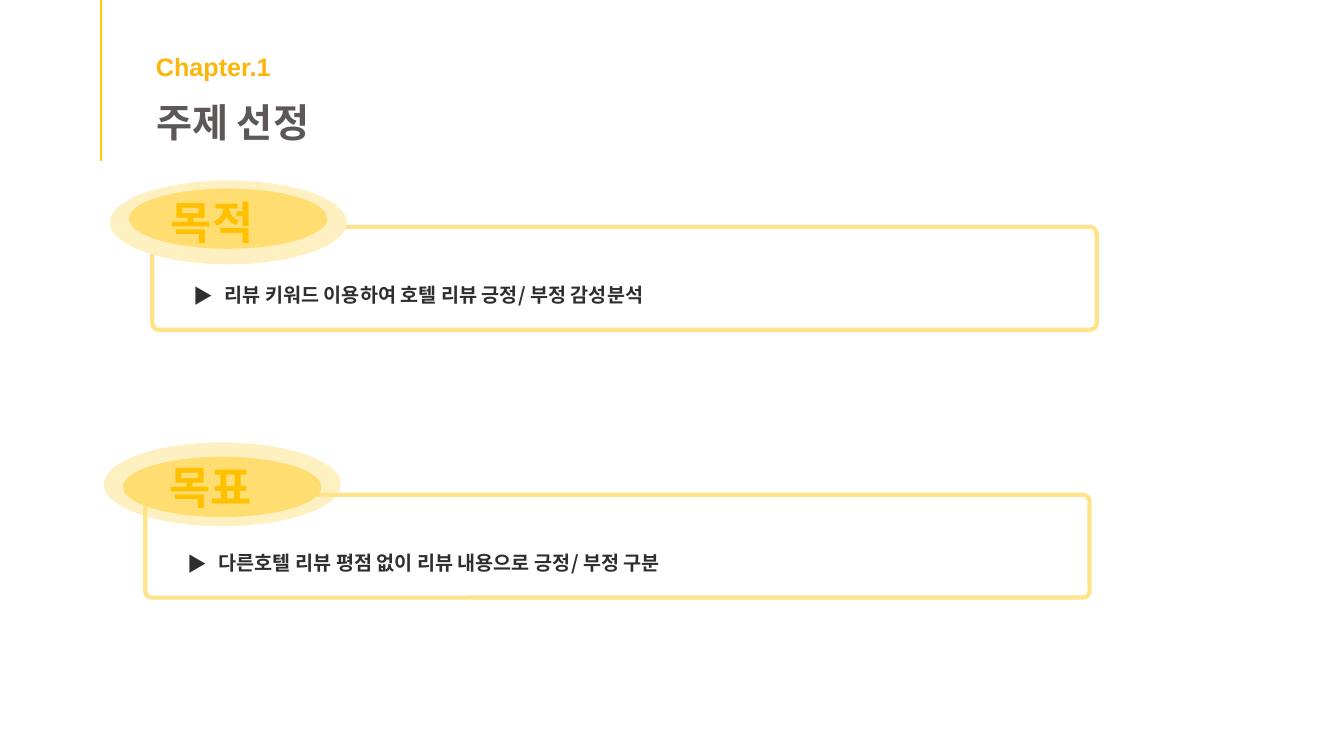
import pptx
import pptx.util
import pptx.dml.color
import pptx.enum.shapes
import pptx.enum.text
from lxml import etree

Cm = pptx.util.Cm
Pt = pptx.util.Pt
RGB = pptx.dml.color.RGBColor.from_string
KIND = pptx.enum.shapes.MSO_SHAPE
HUE = {
    "rule": "FFCF01", "head": "FBB609", "title": "5D5757", "frame": "FFE389",
    "outer": "FFF0C1", "inner": "FFDD71", "tag": "FFC000", "text": "2F2D2D",
}
SANS = "Noto Sans CJK KR"

deck = pptx.Presentation()
deck.slide_width = Cm(33.87)
deck.slide_height = Cm(19.05)
slide = deck.slides.add_slide(deck.slide_layouts[3])
shapes = slide.shapes


def write(box, area, text, size, hue, font=SANS):
    box.left, box.top, box.width, box.height = [Cm(n) for n in area]
    frame = box.text_frame
    frame.word_wrap = True
    frame.auto_size = pptx.enum.text.MSO_AUTO_SIZE.NONE
    frame.vertical_anchor = pptx.enum.text.MSO_ANCHOR.TOP
    para = frame.paragraphs[0]
    para.alignment = pptx.enum.text.PP_ALIGN.LEFT
    run = para.add_run()
    run.text = text
    run.font.name = font
    run.font.size = Pt(size)
    run.font.bold = True
    run.font.color.rgb = RGB(HUE[hue])
    east = etree.SubElement(run.font._element, pptx.oxml.ns.qn("a:ea"))
    east.set("typeface", SANS)
    return para


def draw(part, spot):
    kind, size = PARTS[part]
    shape = shapes.add_shape(kind, *[Cm(n) for n in spot + size])
    shape.shadow.inherit = False
    if part == "frame":
        shape.adjustments[0] = 0.063
        shape.fill.background()
        shape.line.color.rgb = RGB(HUE[part])
        shape.line.width = Pt(3)
    else:
        shape.fill.solid()
        shape.fill.fore_color.rgb = RGB(HUE[part])
        shape.line.fill.background()


PARTS = {
    "frame": (KIND.ROUNDED_RECTANGLE, (23.8, 2.59)),
    "outer": (KIND.OVAL, (5.97, 2.11)),
    "inner": (KIND.OVAL, (5, 1.52)),
}

rule = shapes.add_connector(
    pptx.enum.shapes.MSO_CONNECTOR.STRAIGHT, Cm(2.54), Cm(0), Cm(2.54), Cm(4.06))
rule.line.color.rgb = RGB(HUE["rule"])
rule.line.width = Pt(1.5)
etree.SubElement(rule._element.spPr, pptx.oxml.ns.qn("a:effectLst"))

head = shapes.add_textbox(0, 0, 0, 0)
write(head, (3.68, 1.17, 14, 1.02), "Chapter.1", 18, "head", "Arial")
write(shapes.title, (3.68, 2.34, 16.94, 1.45), "주제 선정", 28, "title", "Arial")

GROUPS = [
    ("목적", (4.06, 4.78), "리뷰 키워드 이용하여 호텔 리뷰 긍정/ 부정 감성분석", (4.62, 6.71), 2,
     {"frame": (3.84, 5.72), "outer": (2.77, 4.55), "inner": (3.25, 4.75)}),
    ("목표", (4.01, 11.46), "다른호텔 리뷰 평점 없이 리뷰 내용으로 긍정/ 부정 구분", (4.47, 13.46), 1.12,
     {"outer": (2.62, 11.15), "frame": (3.66, 12.47), "inner": (3.1, 11.51)}),
]

for slot, (tag, place, text, spot, tall, parts) in enumerate(GROUPS, 1):
    for part, at in parts.items():
        draw(part, at)
    label = shapes.add_textbox(0, 0, 0, 0)
    write(label, place + (8.94, 1.6), tag, 32, "tag")
    body = slide.placeholders[slot]
    para = write(body, spot + (16.31, tall), text, 14, "text")
    props = para._p.get_or_add_pPr()
    props.set("marL", str(Cm(0.79)))
    props.set("indent", str(-Cm(0.79)))
    font = etree.SubElement(props, pptx.oxml.ns.qn("a:buFont"))
    font.set("typeface", SANS)
    mark = etree.SubElement(props, pptx.oxml.ns.qn("a:buChar"))
    mark.set("char", "▶")
    para.line_spacing = 1.5
    para.space_before = Pt(0)

deck.save("out.pptx")
